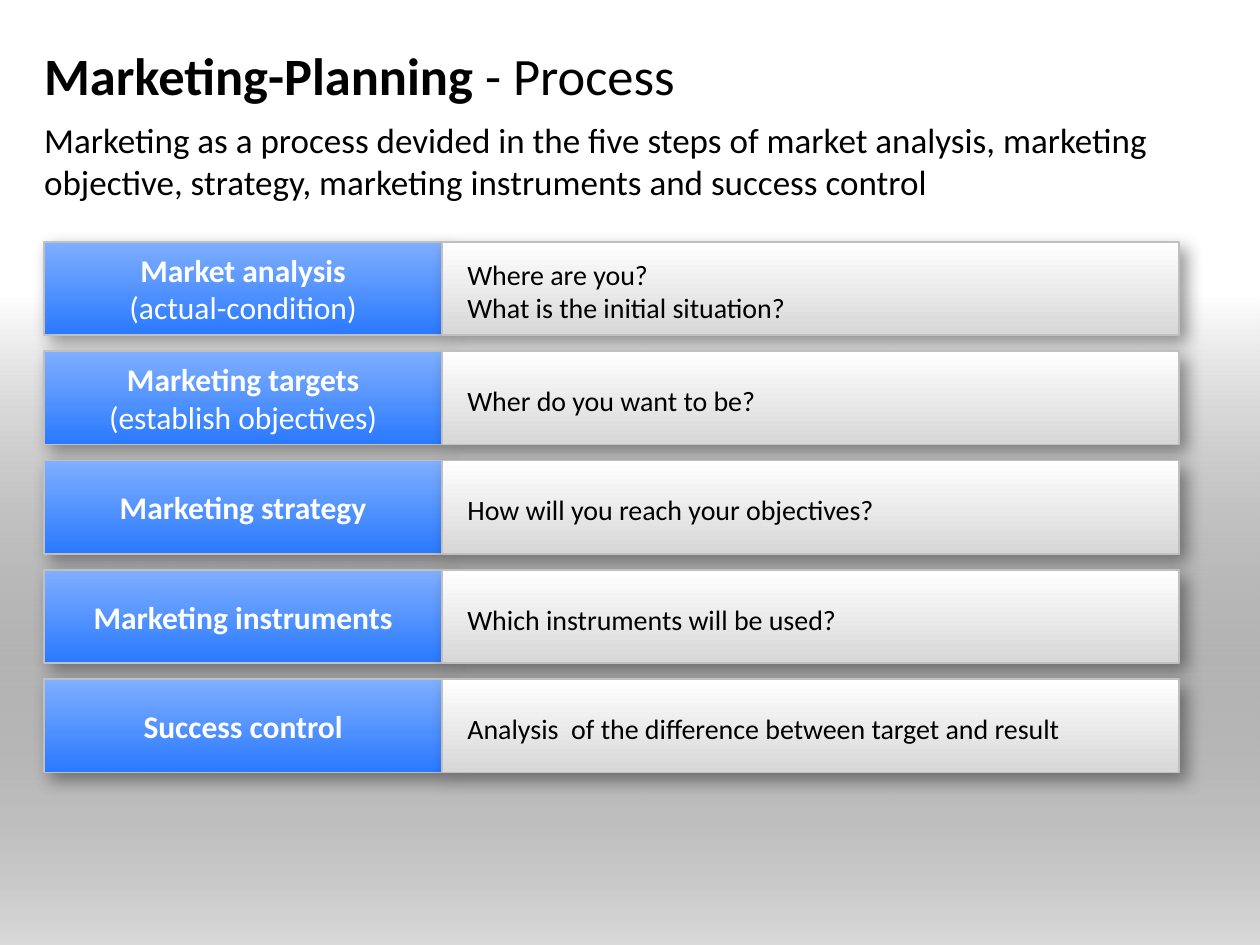
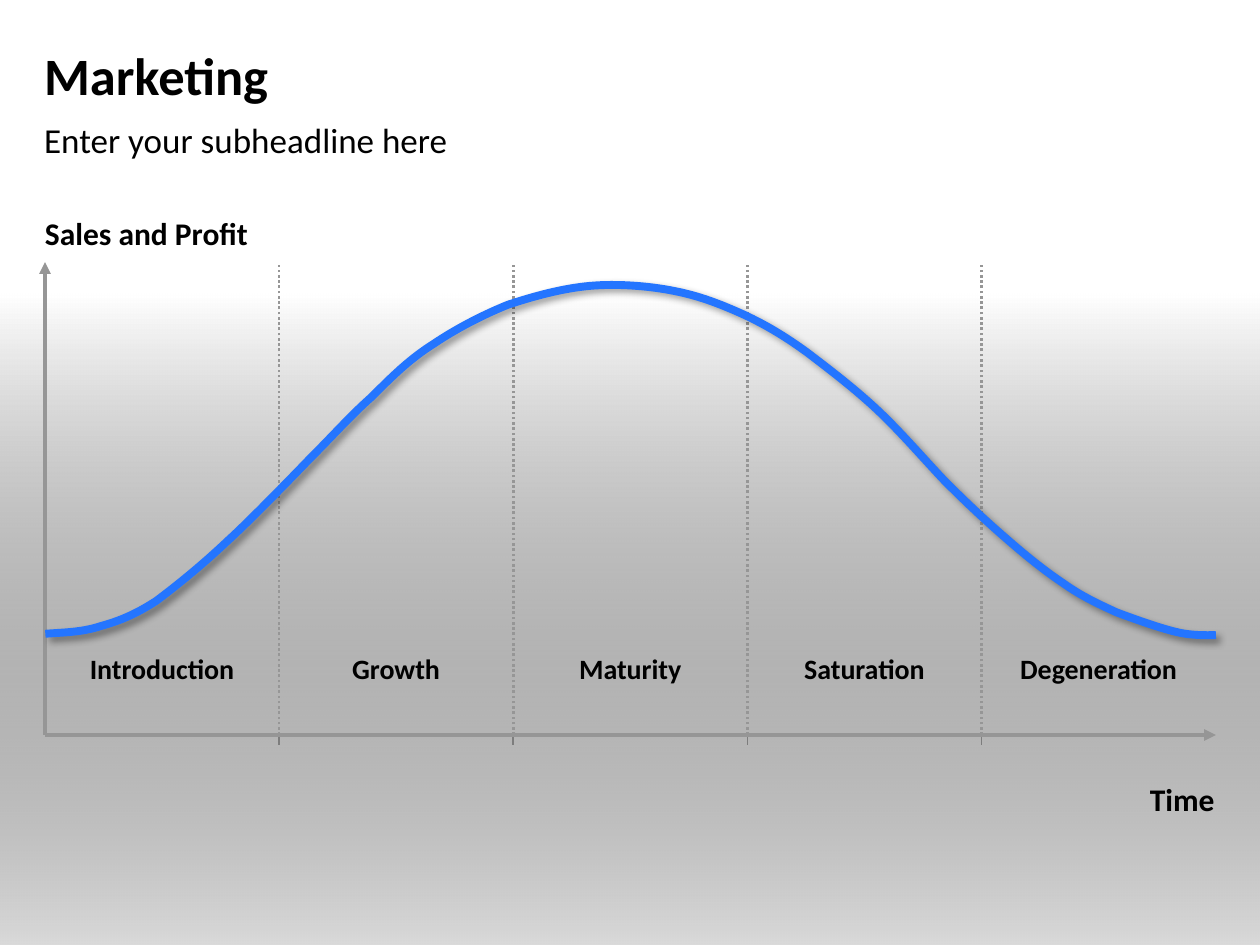
"""Build two marketing slides: the planning process and the product life cycle."""
from lxml import etree
from pptx import Presentation
from pptx.dml.color import RGBColor
from pptx.enum import dml, shapes, text
from pptx.oxml import parse_xml
from pptx.oxml.ns import nsdecls, qn
from pptx.util import Pt

COLORS = {
    "black": "000000", "white": "FFFFFF", "curve": "2475FF",
    "blue_dark": "2A79FF", "blue_light": "7FAFFF", "panel": "D7D7D7",
    "border": "C0C0C0", "axis": "969696", "tick": "7D7D7D",
}
RGB = {name: RGBColor.from_string(value) for name, value in COLORS.items()}
LEFT, ALIGN = 25.2, text.PP_ALIGN


def write(shape, bold, plain, size, color="black", align=ALIGN.LEFT,
          anchor=text.MSO_ANCHOR.TOP, margins=(0, 0, 0, 0)):
    frame = shape.text_frame
    frame.word_wrap = True
    frame.auto_size = text.MSO_AUTO_SIZE.NONE
    frame.vertical_anchor = anchor
    (frame.margin_left, frame.margin_top,
     frame.margin_right, frame.margin_bottom) = map(Pt, margins)
    paragraph = frame.paragraphs[0]
    paragraph.alignment = align
    paragraph.font.name = "Calibri"
    paragraph.font.size = Pt(size)
    paragraph.font.color.rgb = RGB[color]
    if bold:
        paragraph.add_run().text = bold
        paragraph.runs[0].font.bold = True
    for index, line in enumerate(plain.split("\n")):
        if index:
            paragraph.add_line_break()
        if line:
            run = paragraph.add_run()
            run.text = line
            run.font.bold = False
    return paragraph


def style(shape, gradient=None, blur=0, distance=0):
    shape.shadow.inherit = False
    if gradient:
        shape.fill.gradient()
        shape.fill.gradient_angle = 90
        for stop, color in zip(shape.fill.gradient_stops, gradient):
            stop.color.rgb = RGB[color]
    else:
        shape.fill.background()
    if blur:
        effects = shape._element.spPr.find(qn("a:effectLst"))
        effects.append(parse_xml(
            f'<a:outerShdw {nsdecls("a")} blurRad="{Pt(blur)}" dist="{Pt(distance)}" '
            f'dir="2700000" algn="tl" rotWithShape="0"><a:srgbClr val="{COLORS["black"]}">'
            '<a:alpha val="40000"/></a:srgbClr></a:outerShdw>'))


presentation = Presentation()
presentation.slide_width, presentation.slide_height = Pt(720), Pt(540)
layout = presentation.slide_layouts[5]

headings = [
    ("Marketing-Planning ", "- Process",
     "Marketing as a process devided in the five steps of market analysis, marketing "
     "objective, strategy, marketing instruments and success control"),
    ("Marketing", "", "Enter your subheadline here"),
]
for bold, plain, subheadline in headings:
    slide = presentation.slides.add_slide(layout)
    title = slide.shapes.title
    title.left, title.top, title.width, title.height = Pt(LEFT), Pt(18.7), Pt(669), Pt(48.2)
    write(title, bold, plain, 30, anchor=text.MSO_ANCHOR.MIDDLE)
    box = slide.shapes.add_textbox(Pt(LEFT), Pt(67.7), Pt(669), Pt(26.6))
    write(box, "", subheadline, 20)
process, life_cycle = presentation.slides

backdrop = process.shapes.add_shape(
    shapes.MSO_SHAPE.RECTANGLE, 0, Pt(167.8), Pt(720), Pt(372.2))
style(backdrop, ("black", "white"))
backdrop.line.fill.background()
dark_stop = next(backdrop._element.spPr.iter(qn("a:srgbClr")))
etree.SubElement(dark_stop, qn("a:alpha")).set("val", "15000")
layout.shapes._spTree.insert(2, backdrop._element)

steps = [
    ("Market analysis", "\n(actual-condition)",
     "Where are you?\nWhat is the initial situation?"),
    ("Marketing targets", "\n(establish objectives)", "Wher do you want to be?"),
    ("Marketing strategy", "", "How will you reach your objectives?"),
    ("Marketing instruments", "", "Which instruments will be used?"),
    ("Success control", "", "Analysis  of the difference between target and result"),
]
for row, (step, detail, question) in enumerate(steps):
    top = Pt(138.2 + 62.5 * row)
    label = process.shapes.add_shape(
        shapes.MSO_SHAPE.RECTANGLE, Pt(LEFT), top, Pt(227.5), Pt(53.3))
    panel = process.shapes.add_shape(
        shapes.MSO_SHAPE.RECTANGLE, Pt(LEFT + 227.5), top, Pt(421.2), Pt(53.3))
    for shape, gradient in ((label, ("blue_dark", "blue_light")), (panel, ("panel", "white"))):
        style(shape, gradient, 10, 5)
        shape.line.color.rgb = RGB["border"]
        shape.line.width = Pt(1)
    write(label, step, detail, 18, "white", ALIGN.CENTER, text.MSO_ANCHOR.MIDDLE)
    write(panel, "", question, 16, anchor=text.MSO_ANCHOR.MIDDLE,
          margins=(14.4, 8.6, 5.8, 5.8))

origin, axis_end, baseline, stage_width = 25.7, 694.8, 420, 133.8
dividers = [origin + stage_width * number for number in range(1, 5)]
lines = [(x, baseline, x, 425.5, "tick", 1, "plain") for x in dividers]
lines += [(origin, baseline, axis_end, baseline, "axis", 2.25, "arrow"),
          (origin, baseline, origin, 149.8, "axis", 2.25, "arrow")]
lines += [(x, baseline, x, 151.2, "axis", 1.5, "dotted") for x in dividers]
for x1, y1, x2, y2, color, width, kind in lines:
    connector = life_cycle.shapes.add_connector(
        shapes.MSO_CONNECTOR.STRAIGHT, Pt(x1), Pt(y1), Pt(x2), Pt(y2))
    connector.line.color.rgb = RGB[color]
    connector.line.width = Pt(width)
    if kind == "dotted":
        connector.line.dash_style = dml.MSO_LINE.ROUND_DOT
        connector.line._ln.find(qn("a:prstDash")).set("val", "sysDot")
    if kind == "arrow":
        etree.SubElement(connector.line._ln, qn("a:tailEnd")).set("type", "triangle")
    etree.SubElement(connector._element.spPr, qn("a:effectLst"))

time = life_cycle.shapes.add_textbox(Pt(561.6), Pt(445.7), Pt(132.5), Pt(21.6))
write(time, "Time", "", 18, align=ALIGN.RIGHT)
sales = life_cycle.shapes.add_textbox(Pt(origin), Pt(122.4), Pt(132.5), Pt(21.6))
write(sales, "Sales and Profit", "", 18)

curve_points = [
    (25.9, 362.2),
    (36, 361.4), (46.8, 361.4), (57.6, 357.8),
    (67.7, 355), (77, 351.4), (89.3, 343.4),
    (100.8, 334.8), (115.9, 322.6), (130.3, 308.9),
    (144.7, 295.9), (177.1, 262.1), (177.1, 262.1),
    (190.8, 248.4), (200.2, 237.6), (212.4, 226.8),
    (223.9, 215.3), (234, 205.2), (247.7, 196.6),
    (260.6, 187.9), (275.8, 180), (290.2, 174.2),
    (305.3, 169.2), (321.1, 164.9), (337, 163.4),
    (352.8, 162), (370.8, 163.4), (385.2, 166.3),
    (400.3, 169.2), (412.6, 174.2), (425.5, 180),
    (437.8, 185.8), (448.6, 192.2), (461.5, 201.6),
    (473.8, 211), (488.9, 222.5), (501.8, 234.7),
    (514.8, 247), (527.8, 262.1), (539.3, 274.3),
    (551.5, 286.6), (563.8, 298.1), (574.6, 307.4),
    (586.1, 317.5), (596.9, 326.2), (607.7, 333.4),
    (617.8, 340.6), (627.1, 344.9), (637.9, 349.9),
    (649.4, 354.2), (663.8, 359.3), (673.2, 361.4),
    (682.6, 363.6), (694.8, 362.9), (694.8, 362.9),
]
start, *controls = [(Pt(x), Pt(y)) for x, y in curve_points]
builder = life_cycle.shapes.build_freeform(*start)
builder.add_line_segments(controls, close=False)
curve = builder.convert_to_shape()
outline = next(curve._element.iter(qn("a:path")))
segments = outline.findall(qn("a:lnTo"))
for first in range(0, len(segments), 3):
    bezier = etree.SubElement(outline, qn("a:cubicBezTo"))
    for segment in segments[first:first + 3]:
        bezier.append(segment[0])
        outline.remove(segment)
style(curve, blur=4, distance=3)
curve.line.color.rgb = RGB["curve"]
curve.line.width = Pt(4.5)

stages = ["Introduction", "Growth", "Maturity", "Saturation", "Degeneration"]
for number, stage in enumerate(stages):
    box = life_cycle.shapes.add_textbox(
        Pt(origin + stage_width * number), Pt(374.4), Pt(stage_width), Pt(17.3))
    write(box, stage, "", 16, align=ALIGN.CENTER).line_spacing = 0.9

presentation.save("out.pptx")
